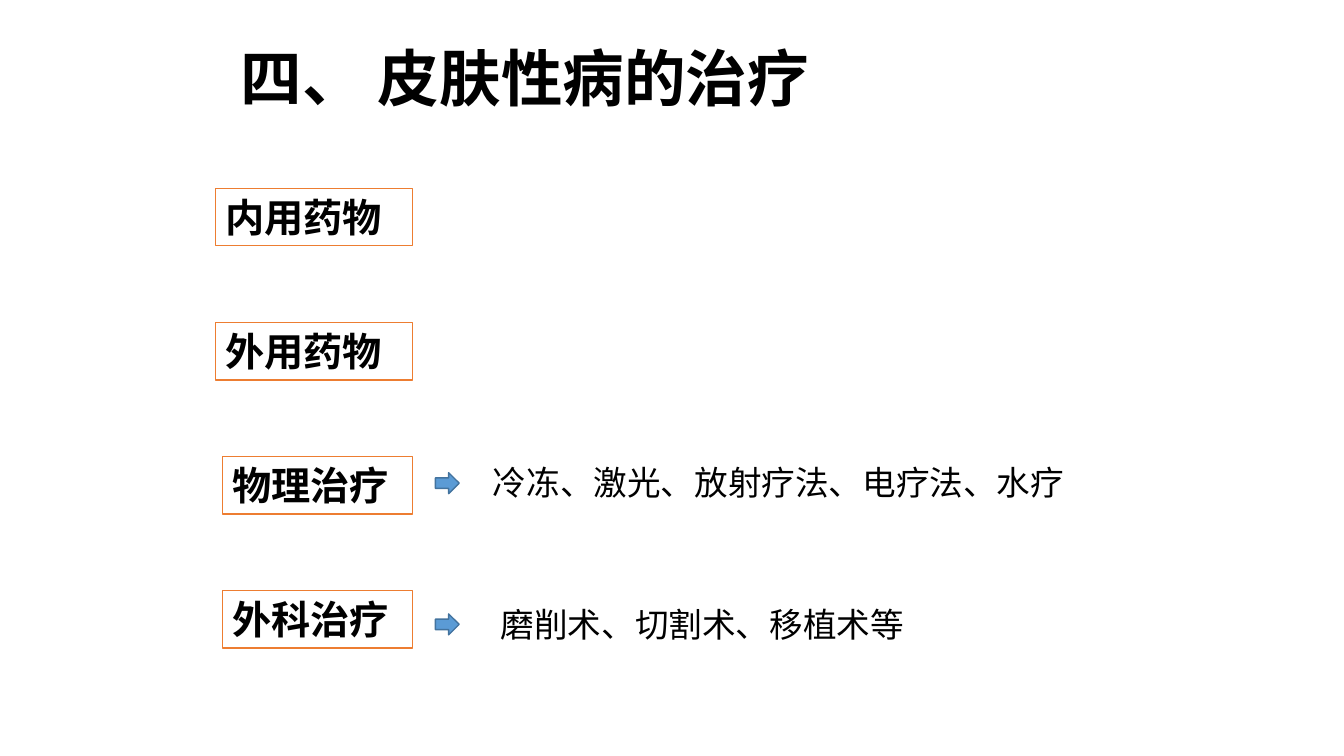
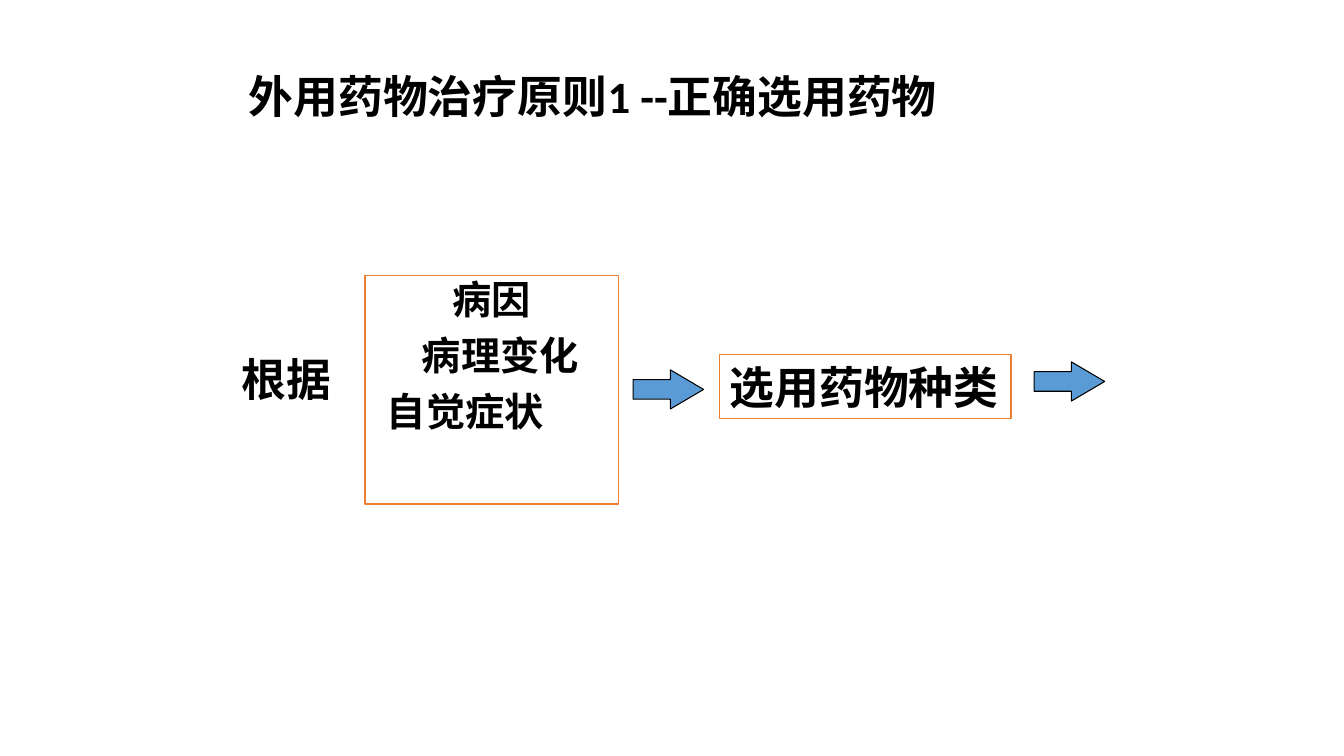
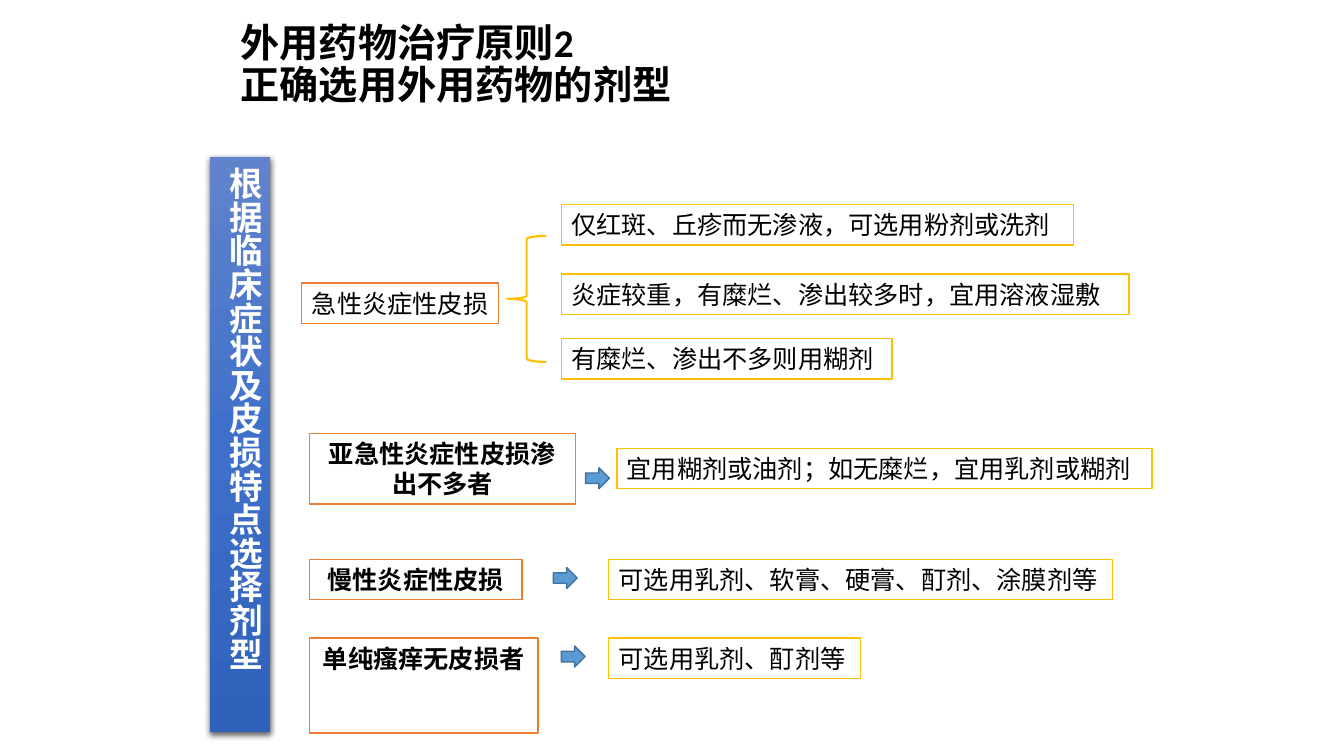
from copy import deepcopy
from dataclasses import dataclass

from lxml import etree
from pptx import Presentation
from pptx.dml.color import RGBColor
from pptx.enum import shapes, text
from pptx.oxml.ns import qn
from pptx.util import Pt


@dataclass(frozen=True)
class Theme:
    font: str = "Calibri"
    cjk_font: str = "Noto Sans CJK JP"
    ink: str = "000000"
    paper: str = "FFFFFF"
    label: str = "ED7D31"
    advice: str = "FFC000"
    arrow: str = "5B9BD5"
    arrow_edge: str = "43739E"
    banner: tuple = ((0, "6183CB"), (0.5, "3E70CA"), (1, "3062BB"))
    huge: int = 44
    large: int = 32
    medium: int = 28
    body: int = 24
    small: int = 18


theme = Theme()
LEFT, CENTER = text.PP_ALIGN.LEFT, text.PP_ALIGN.CENTER
SMALL_ARROW = (17, 15)
BIG_ARROW = (50.4, 28)

overview_title = "四、 皮肤性病的治疗"
treatments = [
    ("内用药物", 154, None),
    ("外用药物", 154, None),
    ("物理治疗", 159, ("冷冻、激光、放射疗法、电疗法、水疗", 345, 326.2, 337.6)),
    ("外科治疗", 159, ("磨削术、切割术、移植术等", 350.6, 427.7, 438.5)),
]

choice_title = "外用药物治疗原则1 --正确选用药物"
choice_basis = "根据"
choice_factors = [("病因", 0, 0), ("病理变化", 12, 0), ("自觉症状", 0, 38)]
choice_result = "选用药物种类"

form_title = "外用药物治疗原则2\v正确选用外用药物的剂型"
form_banner = "根据临床症状及皮损特点选择剂型"
acute = "急性炎症性皮损"
acute_advice = [
    ("仅红斑、丘疹而无渗液，可选用粉剂或洗剂", 146.2, 366),
    ("炎症较重，有糜烂、渗出较多时，宜用溶液湿敷", 195.8, 405.4),
    ("有糜烂、渗出不多则用糊剂", 241.9, 236.2),
]
other_lesions = [
    ("亚急性炎症性皮损渗出不多者", (309.6, 190, 50.4), (418.3, 334.1),
     "宜用糊剂或油剂；如无糜烂，宜用乳剂或糊剂", (440.6, 320.4, 382.3)),
    ("慢性炎症性皮损", (399.6, 152, 28.8), (395.3, 405.4),
     "可选用乳剂、软膏、硬膏、酊剂、涂膜剂等", (434.9, 399.6, 360)),
    ("单纯瘙痒无皮损者", (455.8, 163.4, 67.7), (401, 461.5),
     "可选用乳剂、酊剂等", (434.9, 455.8, 180)),
]
ADVICE_HEIGHT = 28.8


def color(code):
    return RGBColor.from_string(code)


def add_preset(page, kind, area, fill=None, line=None, weight=1):
    shape = page.shapes.add_shape(kind, *map(Pt, area))
    shape.shadow.inherit = False
    if fill:
        shape.fill.solid()
        shape.fill.fore_color.rgb = color(fill)
    else:
        shape.fill.background()
    if line:
        shape.line.color.rgb = color(line)
        shape.line.width = Pt(weight)
    else:
        shape.line.fill.background()
    return shape


def write(box, lines, size, bold=False, align=LEFT, ink=theme.ink, font=theme.font,
          spacing=None, before=0, anchor=text.MSO_ANCHOR.TOP):
    frame = box.text_frame
    frame.word_wrap = True
    frame.vertical_anchor = anchor
    for number, line in enumerate(lines):
        para = frame.add_paragraph() if number else frame.paragraphs[0]
        para.text = line
        para.alignment = align
        para.space_before = Pt(before)
        if spacing:
            para.line_spacing = spacing
        para.font.name = font
        para.font.size = Pt(size)
        para.font.bold = bold
        para.font.color.rgb = color(ink)
    return box


def add_title(page, words, area, size):
    box = page.shapes.add_textbox(*map(Pt, area))
    write(box, [words], size, bold=True, spacing=0.9, anchor=text.MSO_ANCHOR.MIDDLE)


def add_box(page, words, area, size, line=theme.label, **style):
    box = add_preset(page, shapes.MSO_SHAPE.RECTANGLE, area, theme.paper, line)
    return write(box, [words] if isinstance(words, str) else words, size, **style)


def add_arrow(page, left, top, size=SMALL_ARROW, line=theme.arrow_edge, weight=1):
    return add_preset(page, shapes.MSO_SHAPE.RIGHT_ARROW, (left, top, *size),
                      theme.arrow, line, weight)


def add_banner(page, words, area):
    banner = add_preset(page, shapes.MSO_SHAPE.RECTANGLE, area)
    banner.fill.gradient()
    properties = banner.element.spPr
    stops = properties.find(".//" + qn("a:gsLst"))
    stops.append(deepcopy(stops[0]))
    for stop, (position, shade) in zip(banner.fill.gradient_stops, theme.banner):
        stop.position = position
        stop.color.rgb = color(shade)
    banner.fill.gradient_angle = 270
    effects = properties.find(qn("a:effectLst"))
    shadow = etree.SubElement(effects, qn("a:outerShdw"), blurRad=str(Pt(4.5)),
                              dist=str(Pt(1.5)), dir="5400000", rotWithShape="0")
    tint = etree.SubElement(shadow, qn("a:srgbClr"), val=theme.ink)
    etree.SubElement(tint, qn("a:alpha"), val="63000")
    write(banner, [words], theme.body, bold=True, ink=theme.paper)
    banner.text_frame._txBody.bodyPr.set("vert", "eaVert")


def build_overview(page):
    add_title(page, overview_title, (164.9, 28.1, 612, 59.8), theme.huge)
    right, first, pitch = 294.5, 134.6, 95.8
    for row, (name, left, methods) in enumerate(treatments):
        add_box(page, name, (left, first + row * pitch, right - left, 41),
                theme.medium, bold=True)
        if methods:
            words, start, top, arrow_top = methods
            note = page.shapes.add_textbox(Pt(start), Pt(top), Pt(433), Pt(36))
            write(note, [words], theme.body)
            add_arrow(page, 311, arrow_top)


def build_choice(page):
    add_title(page, choice_title, (170.6, 33.8, 621.4, 73.4), theme.large)
    add_box(page, choice_basis, (164.9, 247.7, 80, 45.4), theme.large, line=None,
            bold=True, align=CENTER)
    factors = add_box(page, [name for name, _, _ in choice_factors],
                      (260.6, 196.6, 181.4, 163.4), theme.medium, bold=True,
                      align=CENTER, spacing=0.9, before=10)
    for para, (_, left, right) in zip(factors.text_frame.paragraphs, choice_factors):
        layout = para._p.get_or_add_pPr()
        layout.set("marL", str(Pt(left)))
        layout.set("marR", str(Pt(right)))
    add_box(page, choice_result, (514.1, 253.4, 208, 45.4), theme.large, bold=True)
    for left, top in [(452.2, 264.2), (738.7, 258.5)]:
        arrow = add_arrow(page, left, top, BIG_ARROW, theme.ink, 0.75)
        arrow.adjustments[1] = 0.85


def build_forms(page):
    add_title(page, form_title, (164.9, 0, 612, 93.6), theme.medium)
    add_banner(page, form_banner, (149.8, 112.3, 43.2, 410.4))
    add_box(page, acute, (215.3, 202.3, 141, ADVICE_HEIGHT), theme.small,
            align=CENTER, font=theme.cjk_font)
    add_preset(page, shapes.MSO_SHAPE.LEFT_BRACE, (362.2, 168.5, 28, 90),
               line=theme.advice, weight=1.5)
    for words, top, width in acute_advice:
        add_box(page, words, (401, top, width, ADVICE_HEIGHT), theme.small, theme.advice)
    for name, (top, width, height), arrow, words, advice in other_lesions:
        add_box(page, name, (221, top, width, height), theme.small, bold=True, align=CENTER)
        add_arrow(page, *arrow)
        add_box(page, words, (*advice, ADVICE_HEIGHT), theme.small, theme.advice)


deck = Presentation()
deck.slide_width, deck.slide_height = Pt(960), Pt(540)
for build in (build_overview, build_choice, build_forms):
    build(deck.slides.add_slide(deck.slide_layouts[6]))
deck.save("out.pptx")
